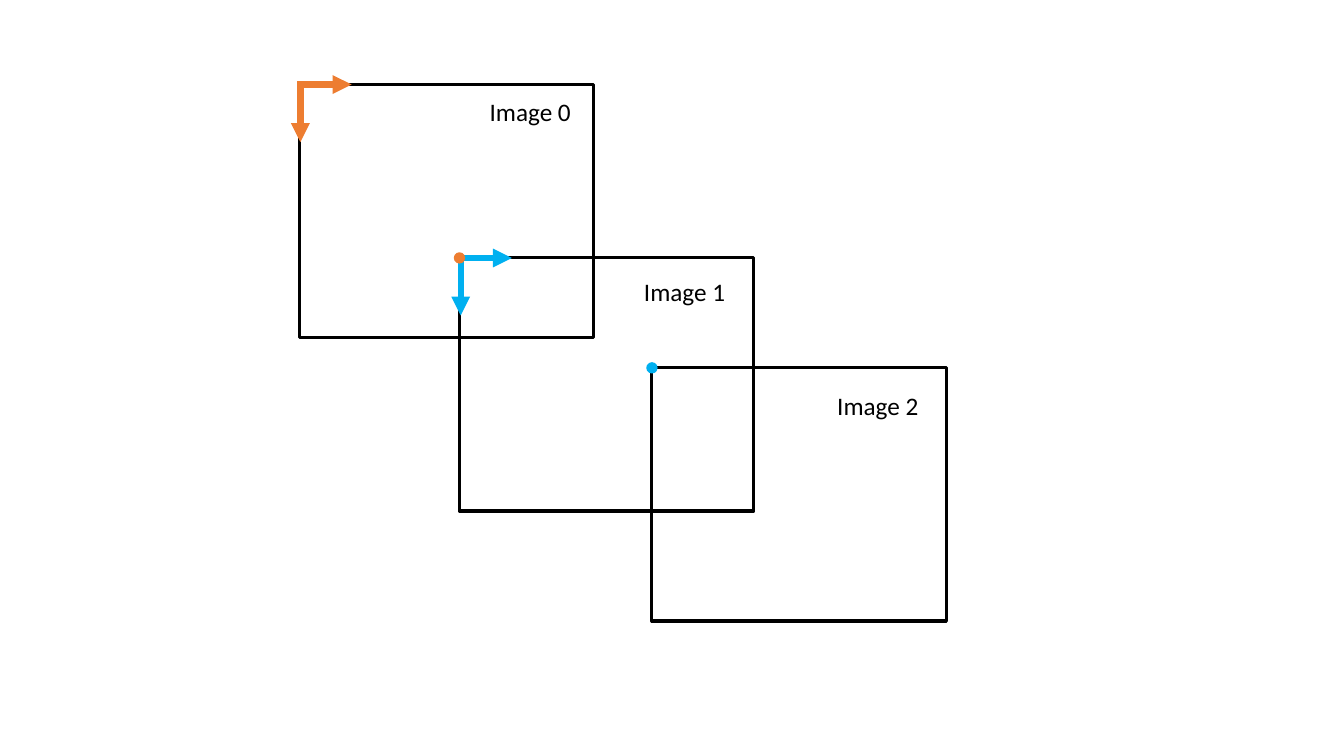
from lxml.etree import SubElement
from pptx import Presentation
from pptx.dml.color import RGBColor
from pptx.enum.shapes import MSO_CONNECTOR, MSO_SHAPE
from pptx.enum.text import MSO_AUTO_SIZE
from pptx.oxml.ns import qn
from pptx.util import Cm, Pt

BLACK, BLUE, ORANGE = "000000", "00B0F0", "ED7D31"

# Label, top-left corner of the frame, top-left corner of the label (cm)
IMAGES = [
    ("Image 0", (7.54, 2.13), (12.09, 2.31)),
    ("Image 1", (11.58, 6.5), (15.98, 6.83)),
    ("Image 2", (16.43, 9.27), (20.85, 9.7)),
]
# Each image's axes share a colour with the origin of the next image
AXES = [(1, BLUE), (0, ORANGE)]

FRAME_WIDTH, FRAME_HEIGHT = 7.42, 6.38
LABEL_WIDTH, LABEL_HEIGHT = 2.59, 1.02
DOWN_LENGTH, RIGHT_LENGTH = 1.45, 1.32
AXIS_OFFSET, AXIS_OVERLAP = 0.03, 0.05
DOT_SIZE = 0.25


def color(hex_code):
    return RGBColor.from_string(hex_code)


def add_outlined(kind, left, top, width, height, line, points, fill=None):
    shape = slide.shapes.add_shape(kind, Cm(left), Cm(top), Cm(width), Cm(height))
    shape.shadow.inherit = False
    if fill:
        shape.fill.solid()
        shape.fill.fore_color.rgb = color(fill)
    else:
        shape.fill.background()
    shape.line.color.rgb = color(line)
    shape.line.width = Pt(points)


def add_label(text, left, top):
    box = slide.shapes.add_textbox(Cm(left), Cm(top), Cm(LABEL_WIDTH), Cm(LABEL_HEIGHT))
    frame = box.text_frame
    frame.word_wrap = False
    frame.auto_size = MSO_AUTO_SIZE.SHAPE_TO_FIT_TEXT
    run = frame.paragraphs[0].add_run()
    run.text = text
    run.font.name = "Calibri"
    run.font.size = Pt(18)
    run.font.color.rgb = color(BLACK)


def add_arrow(start, end, hex_code):
    arrow = slide.shapes.add_connector(
        MSO_CONNECTOR.STRAIGHT, *(Cm(value) for value in (*start, *end)))
    arrow.line.color.rgb = color(hex_code)
    arrow.line.width = Pt(4.5)
    SubElement(arrow.line._get_or_add_ln(), qn("a:tailEnd"), type="triangle")
    SubElement(arrow._element.spPr, qn("a:effectLst"))


presentation = Presentation()
presentation.slide_width, presentation.slide_height = Cm(33.87), Cm(19.05)
slide = presentation.slides.add_slide(presentation.slide_layouts[6])

for _, corner, _ in IMAGES:
    add_outlined(MSO_SHAPE.RECTANGLE, *corner, FRAME_WIDTH, FRAME_HEIGHT, BLACK, 2.25)

for text, _, position in IMAGES:
    add_label(text, *position)

for index, hex_code in AXES:
    left, top = IMAGES[index][1]
    axis_left = left + AXIS_OFFSET
    add_arrow((axis_left, top), (axis_left, top + DOWN_LENGTH), hex_code)
    add_arrow((left - AXIS_OVERLAP, top), (left + RIGHT_LENGTH, top), hex_code)
    next_left, next_top = IMAGES[index + 1][1]
    add_outlined(MSO_SHAPE.OVAL, next_left - DOT_SIZE / 2, next_top - DOT_SIZE / 2,
                 DOT_SIZE, DOT_SIZE, hex_code, 1, fill=hex_code)

presentation.save("out.pptx")
